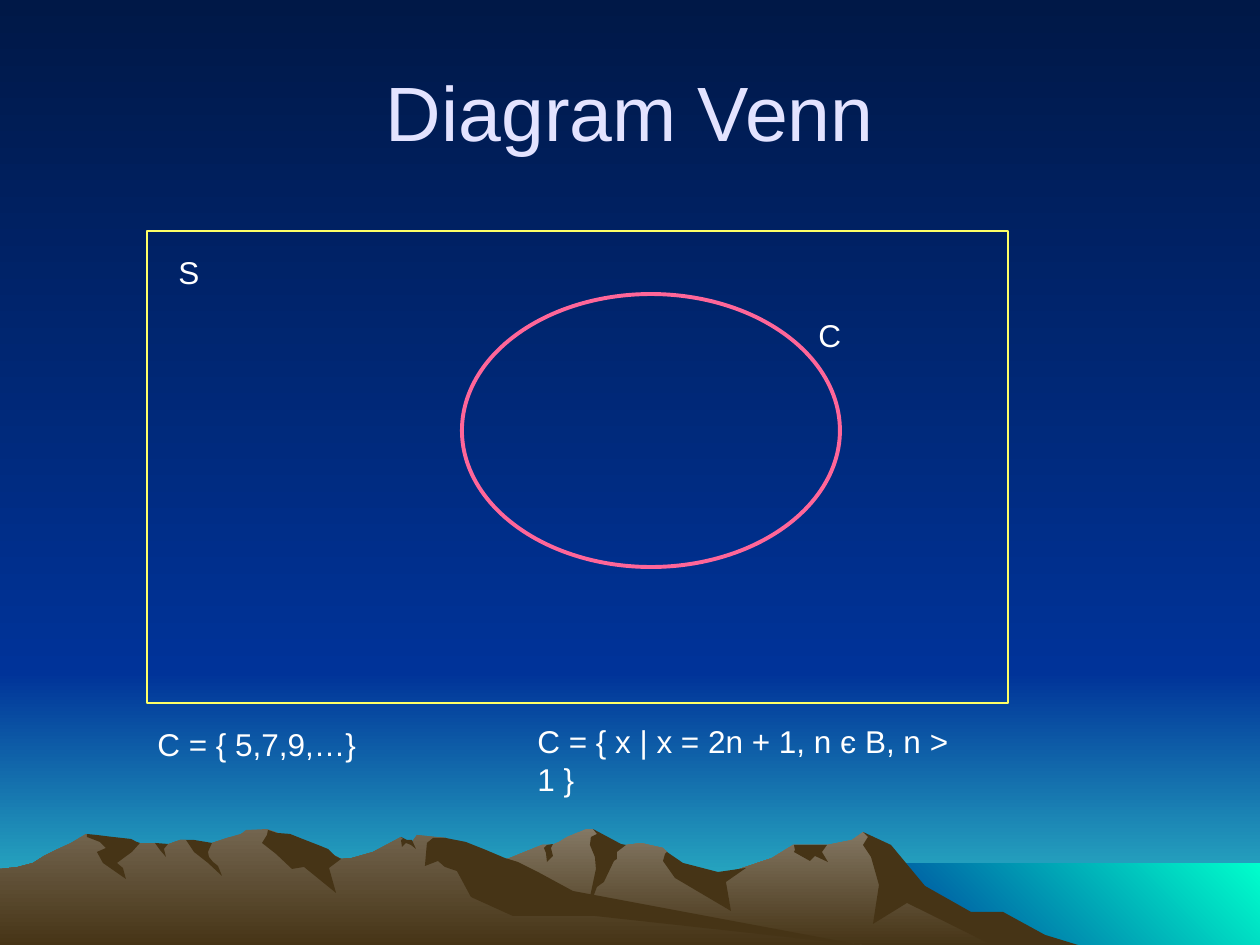
from dataclasses import dataclass

from pptx import Presentation
from pptx.dml.color import RGBColor
from pptx.enum.shapes import MSO_SHAPE
from pptx.enum.text import MSO_ANCHOR, MSO_AUTO_SIZE, PP_ALIGN
from pptx.util import Inches, Pt

RECT, OVAL = MSO_SHAPE.RECTANGLE, MSO_SHAPE.OVAL
MIDDLE, CENTER, LEFT = MSO_ANCHOR.MIDDLE, PP_ALIGN.CENTER, PP_ALIGN.LEFT
GROW = MSO_AUTO_SIZE.SHAPE_TO_FIT_TEXT
SCALE = Inches(1) / 126
TITLE_ONLY = 5


@dataclass(frozen=True)
class Theme:
    font: str = "Arial"
    head: int = 44
    body: int = 18
    title: str = "E3E3FF"
    text: str = "FFFFFF"
    frame: str = "FFFF66"
    ring: str = "FF6699"
    night: str = "001847"
    blue: str = "003399"
    dawn: str = "33CCCC"
    sea: str = "00FFCC"
    far: str = "847864"
    near: str = "73654F"
    earth: str = "463416"


THEME = Theme()

FAR_RIDGE = [
    (1011, 932), (980, 916), (963, 911), (911, 879), (885, 845), (863, 832),
    (852, 840), (827, 845), (793, 845), (772, 858), (713, 878), (675, 869),
    (667, 852), (663, 848), (641, 843), (626, 845), (612, 848), (597, 833),
    (593, 829), (586, 829), (567, 837), (559, 842), (552, 845), (542, 845),
    (527, 851), (510, 858), (496, 863), (447, 879), (412, 893), (349, 931),
    (325, 946), (1034, 946)]

FAR_SHADE = [
    [(1003, 912), (971, 912), (925, 886), (891, 845), (863, 832), (868, 837),
     (863, 845), (871, 857), (879, 885), (873, 924), (907, 903), (998, 948),
     (1081, 946), (1045, 935)],
    [(593, 829), (597, 834), (591, 837), (590, 845), (595, 857), (596, 869),
     (586, 916), (597, 887), (604, 882), (614, 861), (617, 859), (617, 852),
     (626, 845), (621, 844)],
    [(667, 852), (665, 854), (663, 861), (675, 878), (731, 911), (726, 882),
     (746, 868), (718, 872), (683, 863)],
    [(819, 845), (794, 845), (795, 850), (794, 852), (810, 861), (815, 856),
     (828, 862), (822, 852), (827, 845)],
    [(546, 853), (544, 848), (547, 845), (553, 844), (551, 848), (553, 856),
     (547, 862)]]

NEAR_RIDGE = [
    (869, 946), (840, 942), (544, 897), (446, 838), (417, 835), (412, 842),
    (407, 842), (401, 837), (373, 852), (352, 858), (341, 859), (328, 852),
    (297, 858), (281, 835), (276, 832), (267, 829), (246, 830), (241, 834),
    (227, 838), (212, 843), (202, 845), (186, 840), (180, 840), (166, 845),
    (161, 845), (155, 843), (140, 843), (118, 845), (86, 834), (71, 843),
    (58, 849), (44, 856), (33, 863), (18, 867), (0, 869), (0, 946)]

NEAR_SHADE = [
    [(267, 835), (262, 843), (276, 854), (292, 869), (304, 867), (336, 893),
     (329, 868), (341, 859), (335, 856), (328, 849), (318, 845), (300, 838),
     (290, 834), (277, 833), (268, 830)],
    [(466, 842), (446, 838), (433, 838), (427, 843), (425, 866), (438, 861),
     (445, 867), (457, 871), (471, 897), (513, 916), (595, 916), (869, 946),
     (861, 945), (573, 891), (538, 872), (518, 862), (505, 858), (486, 850)],
    [(401, 840), (403, 839), (401, 837), (407, 840), (412, 840), (416, 849),
     (411, 845), (406, 843), (402, 847)],
    [(194, 840), (212, 843), (208, 852), (209, 857), (213, 862), (218, 866),
     (222, 876), (208, 863), (194, 852), (186, 840)],
    [(168, 844), (164, 849), (166, 857), (160, 850), (155, 843)],
    [(137, 842), (140, 843), (132, 852), (117, 863), (123, 868), (126, 879),
     (103, 863), (97, 852), (106, 848), (100, 842), (87, 837), (87, 834),
     (97, 835), (113, 837), (131, 839)]]


def px(*sizes):
    return [round(size * SCALE) for size in sizes]


def color(code):
    return RGBColor.from_string(code)


def paint(fill, tones, angle=270):
    """Fill with one tone, or blend two; the angle runs counter-clockwise."""
    if len(tones) == 1:
        fill.solid()
        fill.fore_color.rgb = color(tones[0])
        return
    fill.gradient()
    fill.gradient_angle = angle
    for stop, tone in zip(fill.gradient_stops, tones):
        stop.color.rgb = color(tone)


def add_band(slide, box, tones, angle=270):
    band = slide.shapes.add_shape(RECT, *px(*box))
    band.shadow.inherit = False
    band.line.fill.background()
    paint(band.fill, tones, angle)


def add_land(slide, points, *tones):
    pen = slide.shapes.build_freeform(*points[0], scale=SCALE)
    pen.add_line_segments(points[1:], close=True)
    land = pen.convert_to_shape()
    land.shadow.inherit = False
    land.line.fill.background()
    paint(land.fill, tones)


def add_outline(slide, kind, box, tone, width):
    shape = slide.shapes.add_shape(kind, *px(*box))
    shape.shadow.inherit = False
    shape.fill.background()
    shape.line.color.rgb = color(tone)
    shape.line.width = Pt(width)


def set_text(frame, text, size, tone, align):
    frame.text = text
    line = frame.paragraphs[0]
    line.alignment = align
    font = line.runs[0].font
    font.name, font.size = THEME.font, Pt(size)
    font.color.rgb = color(tone)


def add_label(slide, box, text):
    frame = slide.shapes.add_textbox(*px(*box)).text_frame
    frame.word_wrap = False
    frame.auto_size = GROW
    set_text(frame, text, THEME.body, THEME.text, LEFT)


def add_title(slide, box, text):
    """Fill the title and lift it above the scenery."""
    title = slide.shapes.title
    title.left, title.top, title.width, title.height = px(*box)
    title.text_frame.vertical_anchor = MIDDLE
    set_text(title.text_frame, text, THEME.head, THEME.title, CENTER)
    title.element.getparent().append(title.element)


def add_scene(slide):
    sky = (THEME.night, THEME.blue)
    paint(slide.background.fill, sky)
    add_band(slide, (0, 672, 1260, 273), (THEME.blue, THEME.dawn))
    add_band(slide, (0, 0, 1260, 672), sky)
    add_band(slide, (861, 863, 399, 84), (THEME.blue, THEME.sea), 45)
    for ridge, tone, shades in ((FAR_RIDGE, THEME.far, FAR_SHADE),
                                (NEAR_RIDGE, THEME.near, NEAR_SHADE)):
        add_land(slide, ridge, tone, THEME.earth)
        for shade in shades:
            add_land(slide, shade, THEME.earth)


def main():
    deck = Presentation()
    deck.slide_width, deck.slide_height = px(1260, 945)
    slide = deck.slides.add_slide(deck.slide_layouts[TITLE_ONLY])
    add_scene(slide)
    add_title(slide, (63, 32, 1134, 157), "Diagram Venn")
    add_outline(slide, OVAL, (462, 294, 378, 273), THEME.ring, 2.25)
    add_outline(slide, RECT, (147, 231, 861, 472), THEME.frame, 0.75)
    add_label(slide, (806, 310, 48, 50), "C")
    add_label(slide, (166, 247, 45, 50), "S")
    add_label(slide, (145, 719, 224, 50), "C = { 5,7,9,…}")
    add_label(slide, (525, 716, 481, 50), "C = { x | x = 2n + 1, n є B, n > 1 }")
    deck.save("out.pptx")


if __name__ == "__main__":
    main()
